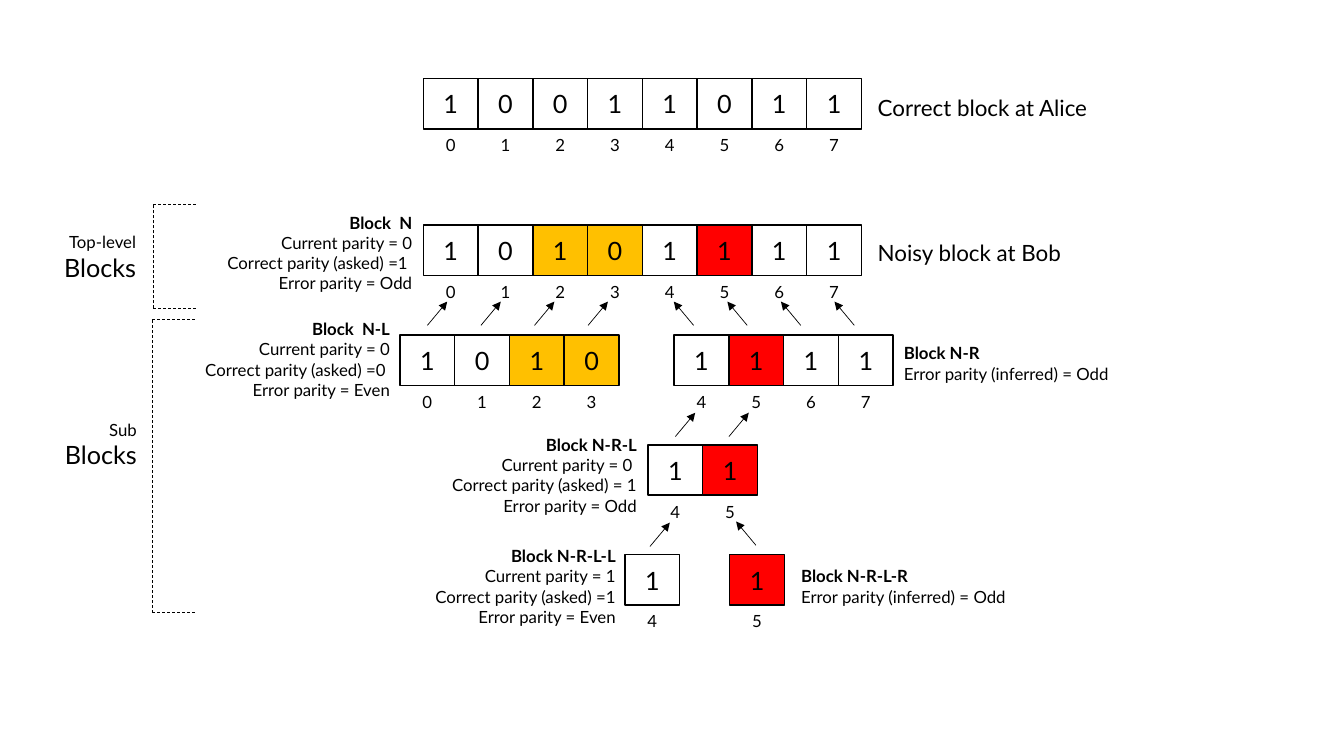
from lxml import etree
from pptx import Presentation
from pptx.dml.color import RGBColor
from pptx.enum.dml import MSO_LINE
from pptx.enum.shapes import MSO_CONNECTOR, MSO_SHAPE
from pptx.enum.text import MSO_ANCHOR, PP_ALIGN
from pptx.oxml.ns import qn
from pptx.util import Cm, Pt

LEFT, CENTER, RIGHT = PP_ALIGN.LEFT, PP_ALIGN.CENTER, PP_ALIGN.RIGHT
MIDDLE, BOTTOM = MSO_ANCHOR.MIDDLE, MSO_ANCHOR.BOTTOM
RECTANGLE, STRAIGHT, DASH = MSO_SHAPE.RECTANGLE, MSO_CONNECTOR.STRAIGHT, MSO_LINE.DASH

FONT = "Lato"
BLACK = "000000"
BIT_FILLS = {"Y": "FFC000", "R": "FF0000"}
CELL_WIDTH, CELL_HEIGHT, INDEX_HEIGHT = 1.38, 1.27, 0.66
LABEL_HEIGHT = 2.21
ALICE_TOP, BOB_TOP, LEVEL_STEP = 1.98, 5.67, 2.77
ARROW_STEP, ARROW_WIDTH, ARROW_HEIGHT = 1.35, 0.5, 0.6
BRACKET_ARM = 1.12

LEVEL_TOPS = [BOB_TOP + LEVEL_STEP * level for level in range(4)]
BLOCKS = [
    (10.67, ALICE_TOP, "10011011", "........", 0),
    (10.67, LEVEL_TOPS[0], "10101111", "..YY.R..", 0),
    (10.08, LEVEL_TOPS[1], "1010", "..YY", 0),
    (16.99, LEVEL_TOPS[1], "1111", ".R..", 4),
    (16.33, LEVEL_TOPS[2], "11", ".R", 4),
    (15.75, LEVEL_TOPS[3], "1", ".", 4),
    (18.39, LEVEL_TOPS[3], "1", "R", 5),
]
PARITY_LABELS = [
    (4.93, 5.26, 5.46, RIGHT, "Block  N",
     ["Current parity = 0", "Correct parity (asked) =1 ", "Error parity = Odd"]),
    (4.37, 7.95, 5.46, RIGHT, "Block  N-L",
     ["Current parity = 0", "Correct parity (asked) =0 ", "Error parity = Even"]),
    (22.78, 8.05, 5.74, LEFT, "Block N-R", ["Error parity (inferred) = Odd"]),
    (10.08, 10.87, 5.97, RIGHT, "Block N-R-L",
     ["Current parity = 0 ", "Correct parity (asked) = 1", "Error parity = Odd"]),
    (9.75, 13.67, 5.77, RIGHT, "Block N-R-L-L",
     ["Current parity = 1", "Correct parity (asked) =1", "Error parity = Even"]),
    (20.19, 13.67, 6.4, LEFT, "Block N-R-L-R", ["Error parity (inferred) = Odd"]),
]
ARROW_ROWS = [
    (10.77, 8.2, 4, ARROW_WIDTH),
    (17.48, 8.2, 4, -ARROW_WIDTH),
    (17.02, 11, 2, ARROW_WIDTH),
    (16.38, 13.77, 1, ARROW_WIDTH),
    (19.05, 13.74, 1, -ARROW_WIDTH),
]
OWNERS = [(1.6, "Correct block at Alice"), (5.26, "Noisy block at Bob")]
LEVELS = [(1.02, 5.72, "Top-level"), (1.04, 10.44, "Sub")]
BRACKETS = [(3.86, 5.16, 7.77), (3.84, 8.05, 15.44)]


def color(value):
    return RGBColor.from_string(value)


def write(box, lines, align, anchor=MIDDLE):
    frame = box.text_frame
    frame.word_wrap = True
    frame.vertical_anchor = anchor
    frame.margin_left = frame.margin_right = frame.margin_top = frame.margin_bottom = 0
    for number, (text, size, bold) in enumerate(lines):
        para = frame.add_paragraph() if number else frame.paragraphs[0]
        para.alignment = align
        span = para.add_run()
        span.text = text
        span.font.name = FONT
        span.font.size = Pt(size)
        span.font.bold = bold
        span.font.color.rgb = color(BLACK)


def add_text(shapes, left, top, width, height, lines, align, anchor=MIDDLE):
    box = shapes.add_textbox(Cm(left), Cm(top), Cm(width), Cm(height))
    write(box, lines, align, anchor)


def add_cell(shapes, left, top, bit, fill):
    cell = shapes.add_shape(RECTANGLE, Cm(left), Cm(top), Cm(CELL_WIDTH), Cm(CELL_HEIGHT))
    cell.shadow.inherit = False
    if fill:
        cell.fill.solid()
        cell.fill.fore_color.rgb = color(fill)
    else:
        cell.fill.background()
    cell.line.color.rgb = color(BLACK)
    cell.line.width = Pt(1)
    write(cell, [(bit, 18, False)], CENTER)


def add_block(page, left, top, bits, marks, first_index):
    shapes = page.shapes.add_group_shape().shapes
    for place, (bit, mark) in enumerate(zip(bits, marks)):
        cell_left = left + place * CELL_WIDTH
        add_cell(shapes, cell_left, top, bit, BIT_FILLS.get(mark))
        add_text(shapes, cell_left, top + CELL_HEIGHT, CELL_WIDTH, INDEX_HEIGHT,
                 [(str(first_index + place), 12, False)], CENTER, BOTTOM)


def add_line(shapes, start, end):
    line = shapes.add_connector(STRAIGHT, Cm(start[0]), Cm(start[1]), Cm(end[0]), Cm(end[1]))
    line.line.color.rgb = color(BLACK)
    line.line.width = Pt(0.5)
    etree.SubElement(line._element.spPr, qn("a:effectLst"))
    return line


def add_arrow(page, start, end):
    arrow = add_line(page.shapes, start, end)
    etree.SubElement(arrow.line._get_or_add_ln(), qn("a:tailEnd"), type="triangle")


def add_bracket(page, left, top, bottom):
    shapes = page.shapes.add_group_shape().shapes
    right = left + BRACKET_ARM
    for start, end in [((left, bottom), (left, top)),
                       ((left, top), (right, top)),
                       ((left, bottom), (right, bottom))]:
        add_line(shapes, start, end).line.dash_style = DASH


def main():
    deck = Presentation()
    deck.slide_width, deck.slide_height = Cm(33.87), Cm(19.05)
    page = deck.slides.add_slide(deck.slide_layouts[6])
    for block in BLOCKS:
        add_block(page, *block)
    for left, top, width, align, name, facts in PARITY_LABELS:
        lines = [(name, 12, True)] + [(fact, 12, False) for fact in facts]
        add_text(page.shapes, left, top, width, LABEL_HEIGHT, lines, align)
    for left, top, count, reach in ARROW_ROWS:
        for place in range(count):
            start = left + place * ARROW_STEP
            add_arrow(page, (start, top), (start + reach, top - ARROW_HEIGHT))
    for bracket in BRACKETS:
        add_bracket(page, *bracket)
    for left, top, name in LEVELS:
        add_text(page.shapes, left, top, 2.41, 1.52,
                 [(name, 12, False), ("Blocks", 18, False)], RIGHT)
    for top, caption in OWNERS:
        add_text(page.shapes, 22.12, top, 6.58, LABEL_HEIGHT, [(caption, 16, False)], LEFT)
    deck.save("out.pptx")


if __name__ == "__main__":
    main()
